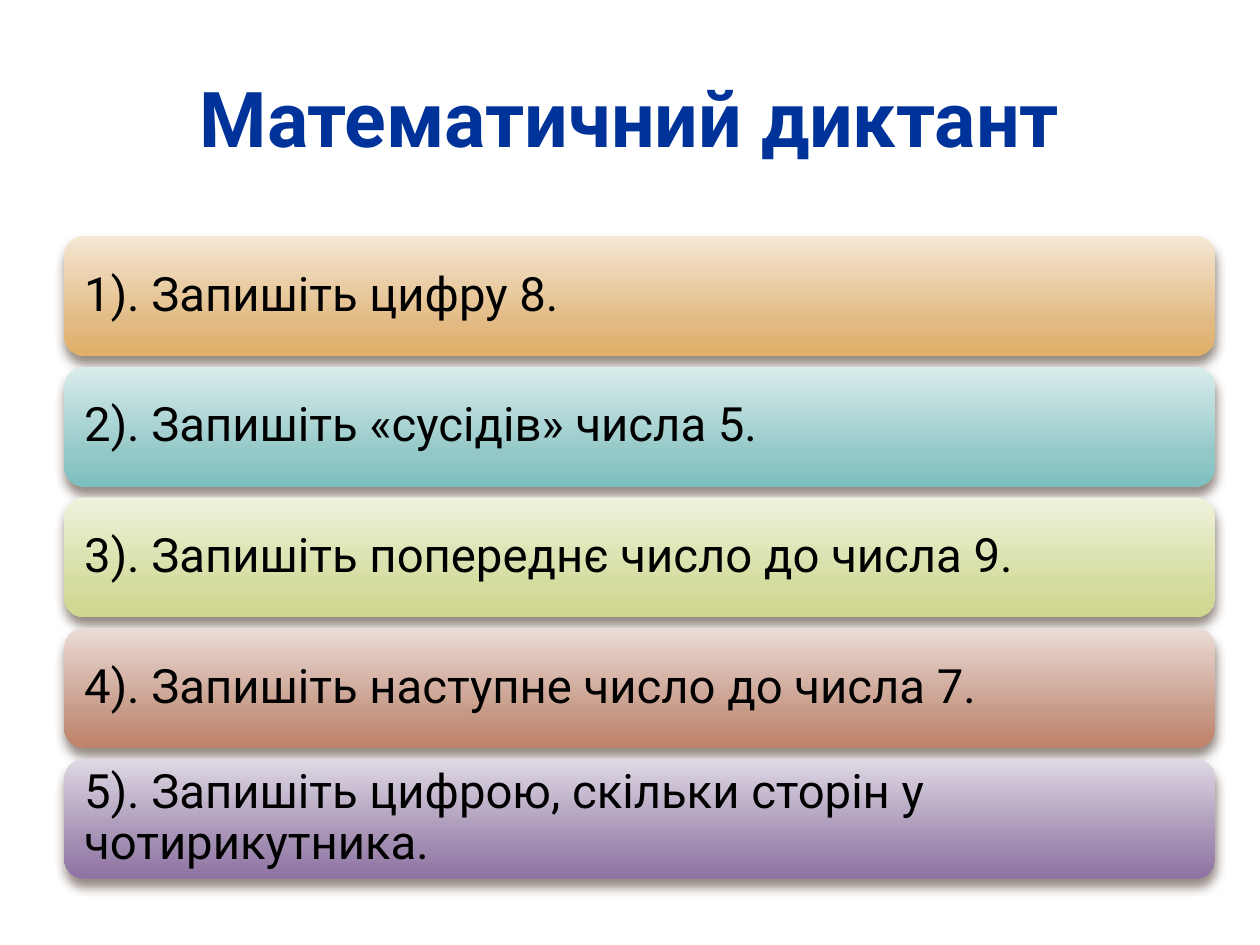
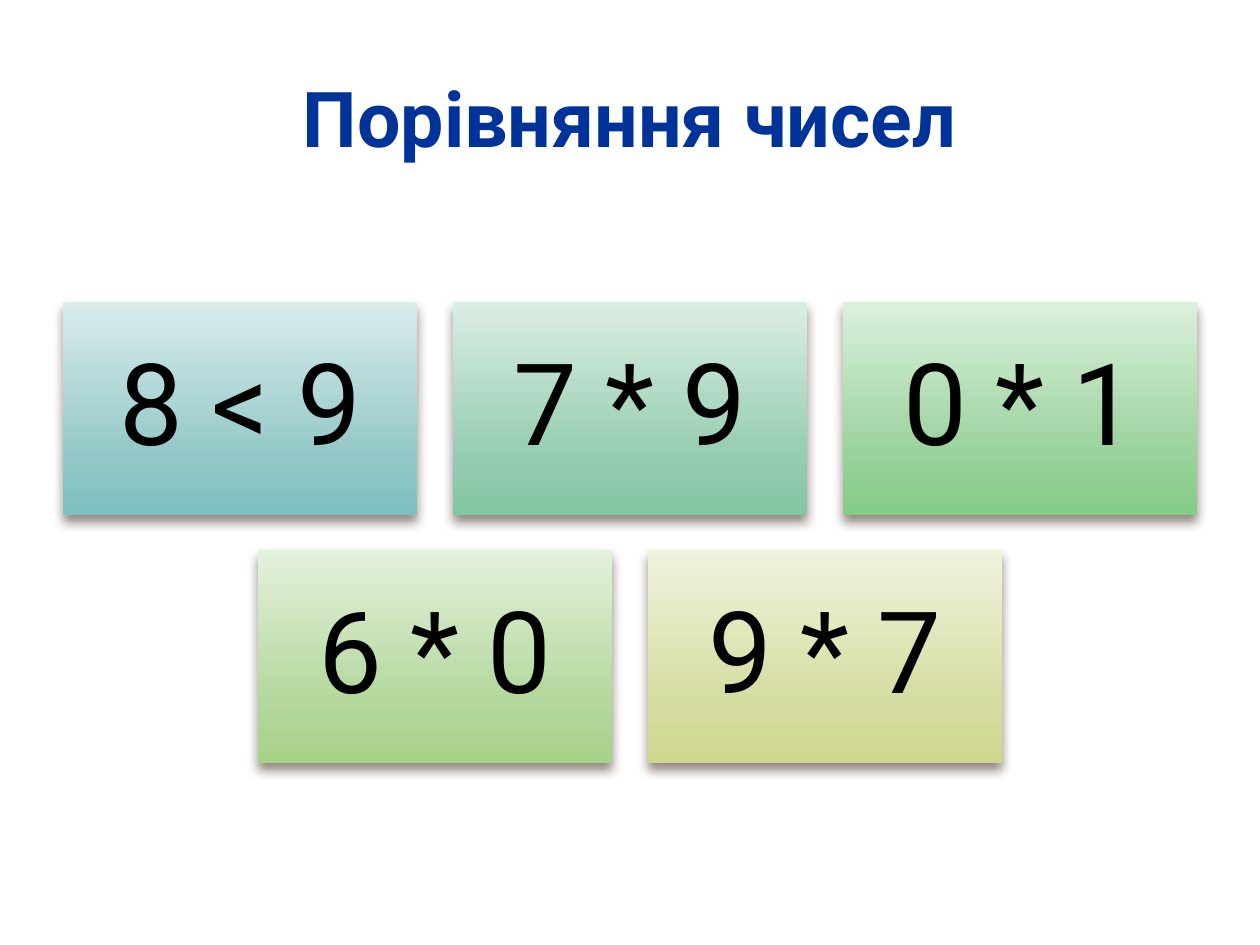
import copy
from dataclasses import dataclass

import lxml.etree
import pptx
import pptx.dml.color
import pptx.enum.shapes
import pptx.enum.text
import pptx.oxml.ns
import pptx.util

Pt = pptx.util.Pt
qn = pptx.oxml.ns.qn
ShapeKind = pptx.enum.shapes.MSO_SHAPE
Align = pptx.enum.text.PP_ALIGN
Middle = pptx.enum.text.MSO_ANCHOR.MIDDLE

FONT = "Roboto"
PAGE_WIDTH, PAGE_HEIGHT = 720, 540
TITLE_COLOUR, TITLE_OUTLINE = "00339A", "F2F2F2"
TEXT_COLOUR, SHADOW_COLOUR = "000000", "4E3B30"

# Gradients run from top to bottom through these positions.
STOP_POSITIONS = (0, 0.72, 1)
ORANGE = ("F5E7D4", "E2BA83", "E0AF68")
TEAL = ("DAECEC", "94C8C8", "7DC0C0")
LIME = ("F0F3DD", "D5DCA0", "CFD78E")
BROWN = ("EBDCD7", "C69885", "BE8268")
PURPLE = ("DFD9E4", "A08CB0", "8E72A3")
SEA_GREEN = ("DBEEE4", "96CDB1", "81C6A3")
GREEN = ("DBF0DC", "99D29C", "84CC88")
LEAF = ("E4F1DC", "B3D79C", "A6D289")


@dataclass(frozen=True)
class PanelStyle:
    kind: ShapeKind
    width: float
    height: float
    inset: float
    text_size: float
    align: Align


@dataclass(frozen=True)
class Panel:
    text: str
    gradient: tuple[str, str, str]


BAR = PanelStyle(ShapeKind.ROUNDED_RECTANGLE, 657.6, 68.5, 8, 27, Align.LEFT)
BAR_LEFT, BAR_TOP, BAR_PITCH = 36.8, 134.8, 74.7
TASKS = (
    Panel("1). Запишіть цифру 8.", ORANGE),
    Panel("2). Запишіть «сусідів» числа 5.", TEAL),
    Panel("3). Запишіть попереднє число до числа 9.", LIME),
    Panel("4). Запишіть наступне число до числа 7.", BROWN),
    Panel("5). Запишіть цифрою, скільки сторін у чотирикутника.", PURPLE),
)

CARD = PanelStyle(ShapeKind.RECTANGLE, 202.5, 121.5, 19.5, 65, Align.CENTER)
CARD_TOP, CARD_GAP = 172.8, 20.25
COMPARISON_ROWS = (
    (Panel("8 < 9", TEAL), Panel("7 * 9", SEA_GREEN), Panel("0 * 1", GREEN)),
    (Panel("6 * 0", LEAF), Panel("9 * 7", LIME)),
)


def colour(value: str) -> pptx.dml.color.RGBColor:
    return pptx.dml.color.RGBColor.from_string(value)


def format_font(para, size: float, text_colour: str, bold: bool = False) -> None:
    para.font.name = FONT
    para.font.size = Pt(size)
    para.font.bold = bold
    para.font.color.rgb = colour(text_colour)


def add_colour_element(parent, value: str):
    return lxml.etree.SubElement(parent, qn("a:srgbClr"), val=value)


def add_titled_page(deck, text: str):
    page = deck.slides.add_slide(deck.slide_layouts[5])
    title = page.shapes.title
    title.left, title.top = Pt(36), Pt(21.6)
    title.width, title.height = Pt(648), Pt(90)
    title.text_frame.text = text
    title.text_frame.vertical_anchor = Middle
    para = title.text_frame.paragraphs[0]
    para.alignment = Align.CENTER
    format_font(para, 44, TITLE_COLOUR, bold=True)

    outline = lxml.etree.Element(qn("a:ln"), w=str(Pt(0.15)))
    add_colour_element(lxml.etree.SubElement(outline, qn("a:solidFill")), TITLE_OUTLINE)
    para._p.pPr.find(qn("a:defRPr")).insert(0, outline)
    return page


def fill_gradient(box, colours: tuple[str, str, str]) -> None:
    box.fill.gradient()
    box.fill.gradient_angle = 270
    first_stop = box._element.spPr.find(".//" + qn("a:gs"))
    first_stop.addnext(copy.deepcopy(first_stop))
    for stop, position, value in zip(box.fill.gradient_stops, STOP_POSITIONS, colours):
        stop.position = position
        stop.color.rgb = colour(value)


def add_soft_shadow(box) -> None:
    box.shadow.inherit = False
    effects = box._element.spPr.find(qn("a:effectLst"))
    shadow = lxml.etree.SubElement(
        effects, qn("a:outerShdw"), blurRad=str(Pt(6)), dist=str(Pt(4)),
        dir="5400000", rotWithShape="0")
    shade = add_colour_element(shadow, SHADOW_COLOUR)
    lxml.etree.SubElement(shade, qn("a:alpha"), val="60000")


def add_panel(page, panel: Panel, style: PanelStyle, left: float, top: float) -> None:
    box = page.shapes.add_shape(
        style.kind, Pt(left), Pt(top), Pt(style.width), Pt(style.height))
    fill_gradient(box, panel.gradient)
    box.line.fill.background()
    add_soft_shadow(box)

    frame = box.text_frame
    frame.word_wrap = True
    frame.vertical_anchor = Middle
    frame.margin_left = frame.margin_right = Pt(style.inset)
    frame.margin_top = frame.margin_bottom = Pt(style.inset)
    frame.text = panel.text
    para = frame.paragraphs[0]
    para.alignment = style.align
    para.line_spacing = 0.9
    format_font(para, style.text_size, TEXT_COLOUR)


def add_dictation_page(deck) -> None:
    page = add_titled_page(deck, "Математичний диктант")
    for index, task in enumerate(TASKS):
        add_panel(page, task, BAR, BAR_LEFT, BAR_TOP + index * BAR_PITCH)


def add_comparison_page(deck) -> None:
    """Each row of cards is centred across the page."""
    page = add_titled_page(deck, "Порівняння чисел")
    for row_index, row in enumerate(COMPARISON_ROWS):
        row_width = len(row) * (CARD.width + CARD_GAP) - CARD_GAP
        left = (PAGE_WIDTH - row_width) / 2
        top = CARD_TOP + row_index * (CARD.height + CARD_GAP)
        for column, card in enumerate(row):
            add_panel(page, card, CARD, left + column * (CARD.width + CARD_GAP), top)


def main() -> None:
    deck = pptx.Presentation()
    deck.slide_width, deck.slide_height = Pt(PAGE_WIDTH), Pt(PAGE_HEIGHT)
    add_dictation_page(deck)
    add_comparison_page(deck)
    deck.save("out.pptx")


if __name__ == "__main__":
    main()
